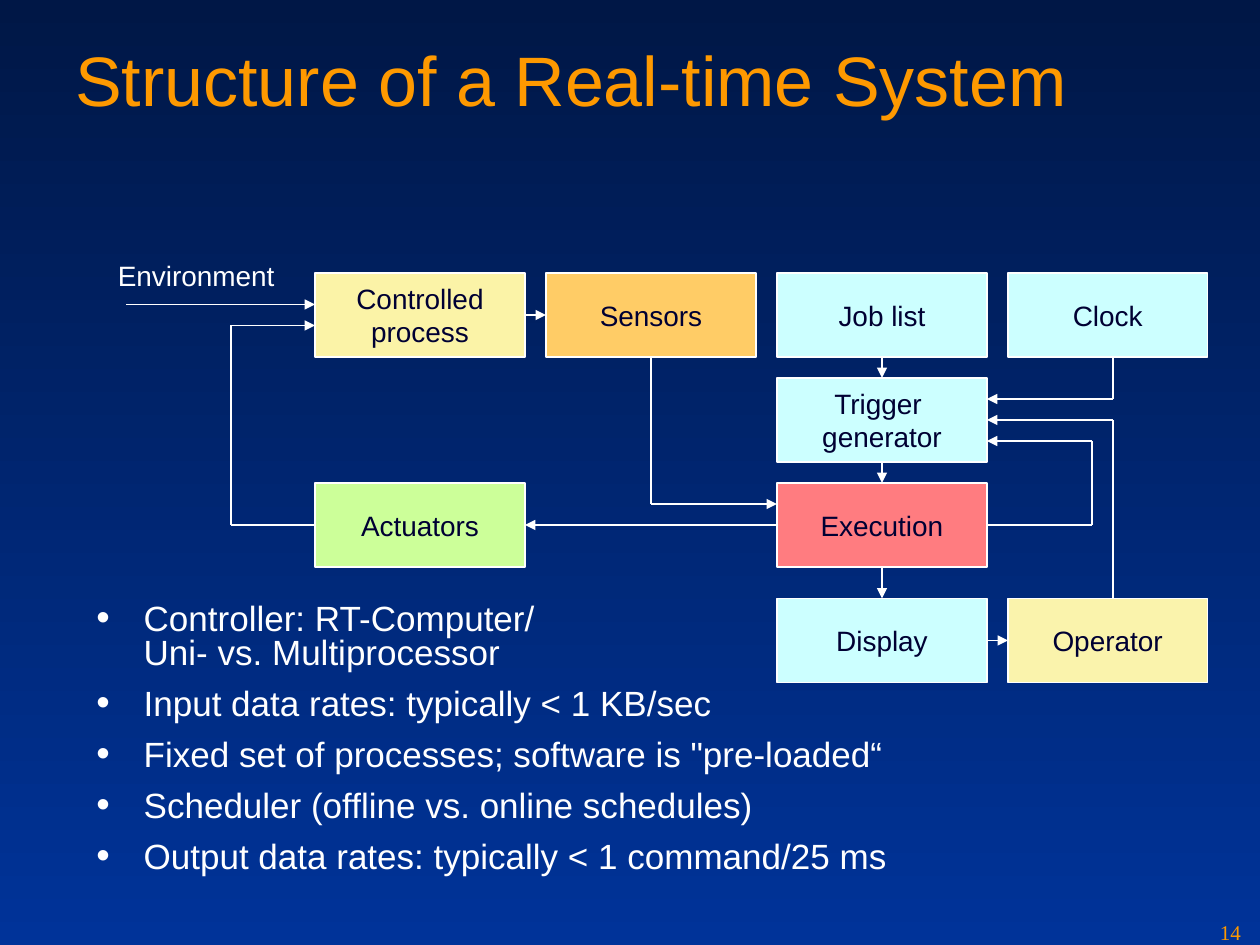
from dataclasses import dataclass

from lxml.etree import SubElement
from pptx import Presentation
from pptx.dml.color import RGBColor
from pptx.enum.shapes import MSO_CONNECTOR as Connector, MSO_SHAPE as Preset
from pptx.enum.text import MSO_ANCHOR as Anchor, PP_ALIGN as Align
from pptx.oxml.ns import qn
from pptx.util import Pt

WHITE, ORANGE, NAVY, CYAN = "FFFFFF", "FE9900", "000033", "CCFFFF"
BOX_HEIGHT = 48
TOP, LEFT, BOTTOM, RIGHT = range(4)  # connection sites of a rectangle


@dataclass
class Box:
    text: str
    left: float
    top: float
    fill: str
    width: float = 120


@dataclass
class Route:
    """A path of straight lines with an arrowhead at its end."""
    points: list[tuple[float, float]]
    start: tuple[str, int] | None = None
    end: tuple[str, int] | None = None


# Diagram grid
COLUMNS = [180, 312, 444, 576]
ROWS = [156, 216, 276, 342]

BOXES = [
    Box("Controlled\vprocess", COLUMNS[0], ROWS[0], "FBF3A7"),
    Box("Sensors", COLUMNS[1], ROWS[0], "FFCC66"),
    Box("Job list", COLUMNS[2], ROWS[0], CYAN),
    Box("Clock", COLUMNS[3], ROWS[0], CYAN, 114),
    Box("Trigger \vgenerator", COLUMNS[2], ROWS[1], CYAN),
    Box("Execution", COLUMNS[2], ROWS[2], "FF7C80"),
    Box("Display", COLUMNS[2], ROWS[3], CYAN),
    Box("Actuators", COLUMNS[0], ROWS[2], "CCFF99"),
    Box("Operator", COLUMNS[3], ROWS[3], "FAF3AC", 114),
]

ROUTES = [
    Route([(444, 300), (300, 300)], ("Execution", LEFT), ("Actuators", RIGHT)),
    Route([(300, 180), (312, 180)], ("Controlled", RIGHT), ("Sensors", LEFT)),
    Route([(504, 204), (504, 216)], ("Job list", BOTTOM), ("Trigger", TOP)),
    Route([(504, 264), (504, 276)], ("Trigger", BOTTOM), ("Execution", TOP)),
    Route([(504, 324), (504, 342)], ("Execution", BOTTOM), ("Display", TOP)),
    Route([(564, 366), (576, 366)], ("Display", RIGHT), ("Operator", LEFT)),
    Route([(636, 342), (636, 240), (564, 240)]),
    Route([(564, 300), (624, 300), (624, 252), (564, 252)], ("Execution", RIGHT)),
    Route([(636, 204), (636, 228), (564, 228)]),
    Route([(372, 204), (372, 288), (444, 288)], ("Sensors", BOTTOM)),
    Route([(180, 300), (132, 300), (132, 186), (180, 186)], ("Actuators", LEFT)),
    Route([(72, 174), (180, 174)]),
]

BULLETS = [
    "Controller: RT-Computer/ \vUni- vs. Multiprocessor",
    "Input data rates: typically < 1 KB/sec",
    "Fixed set of processes; software is \"pre-loaded“",
    "Scheduler (offline vs. online schedules)",
    "Output data rates: typically < 1 command/25 ms",
]


def color(value: str) -> RGBColor:
    return RGBColor.from_string(value)


def format_runs(text_frame, size: float, font_color: str, font_name: str = "Arial") -> None:
    for paragraph in text_frame.paragraphs:
        for run in paragraph.runs:
            run.font.size = Pt(size)
            run.font.name = font_name
            run.font.color.rgb = color(font_color)


def add_text(slide, text: str, left: float, top: float, width: float, height: float,
             size: float, font_color: str, font_name: str = "Arial", wrap: bool = True):
    shape = slide.shapes.add_textbox(Pt(left), Pt(top), Pt(width), Pt(height))
    shape.text_frame.word_wrap = wrap
    shape.text_frame.text = text
    format_runs(shape.text_frame, size, font_color, font_name)
    return shape


def add_bullet(paragraph, first: bool) -> None:
    paragraph.line_spacing = 0.8
    paragraph.space_before = Pt(0 if first else 5)
    paragraph.space_after = Pt(5)
    properties = paragraph._p.get_or_add_pPr()
    properties.set("marL", str(Pt(27)))
    properties.set("indent", str(-Pt(27)))
    bullet_color = SubElement(properties, qn("a:buClr"))
    SubElement(bullet_color, qn("a:srgbClr"), val=WHITE)
    SubElement(properties, qn("a:buSzPct"), val="110000")
    SubElement(properties, qn("a:buFont"), typeface="Arial")
    SubElement(properties, qn("a:buChar"), char="•")


def add_box(slide, box: Box):
    shape = slide.shapes.add_shape(
        Preset.RECTANGLE, Pt(box.left), Pt(box.top), Pt(box.width), Pt(BOX_HEIGHT))
    shape.shadow.inherit = False
    shape.fill.solid()
    shape.fill.fore_color.rgb = color(box.fill)
    shape.line.color.rgb = color(WHITE)
    shape.line.width = Pt(0.75)
    text_frame = shape.text_frame
    text_frame.word_wrap = False
    text_frame.vertical_anchor = Anchor.MIDDLE
    text_frame.text = box.text
    text_frame.paragraphs[0].alignment = Align.CENTER
    format_runs(text_frame, 16, NAVY)
    return shape


def add_route(slide, route: Route, shapes: dict) -> None:
    lines = []
    for begin, end in zip(route.points, route.points[1:]):
        line = slide.shapes.add_connector(
            Connector.STRAIGHT, *(Pt(value) for value in begin + end))
        line.line.color.rgb = color(WHITE)
        line.line.width = Pt(0.75)
        SubElement(line._element.spPr, qn("a:effectLst"))
        lines.append(line)
    SubElement(lines[-1].line._get_or_add_ln(), qn("a:tailEnd"), type="triangle")
    if route.start:
        name, site = route.start
        lines[0].begin_connect(shapes[name], site)
    if route.end:
        name, site = route.end
        lines[-1].end_connect(shapes[name], site)


def main() -> None:
    presentation = Presentation()
    presentation.slide_width, presentation.slide_height = Pt(720), Pt(540)
    slide = presentation.slides.add_slide(presentation.slide_layouts[6])

    # Background, dark at the top
    background = slide.background.fill
    background.gradient()
    background.gradient_angle = 270
    for stop, value in zip(background.gradient_stops, ("001746", "003399")):
        stop.color.rgb = color(value)

    # Title and bullet list
    add_text(slide, "Structure of a Real-time System", 36, 17.5, 648, 90, 40, ORANGE)
    body = add_text(slide, "\n".join(BULLETS), 48, 342, 636, 162, 20, WHITE)
    for index, paragraph in enumerate(body.text_frame.paragraphs):
        add_bullet(paragraph, first=index == 0)

    # Block diagram, with boxes found by the first line of their text
    shapes = {box.text.split("\v")[0].strip(): add_box(slide, box) for box in BOXES}
    for route in ROUTES:
        add_route(slide, route, shapes)
    add_text(slide, "Environment", 60.25, 144, 104, 26.5, 16, WHITE, wrap=False)

    # Slide number
    add_text(slide, "14", 690, 522, 30, 18, 12, ORANGE, "Times New Roman")

    presentation.save("out.pptx")


if __name__ == "__main__":
    main()
